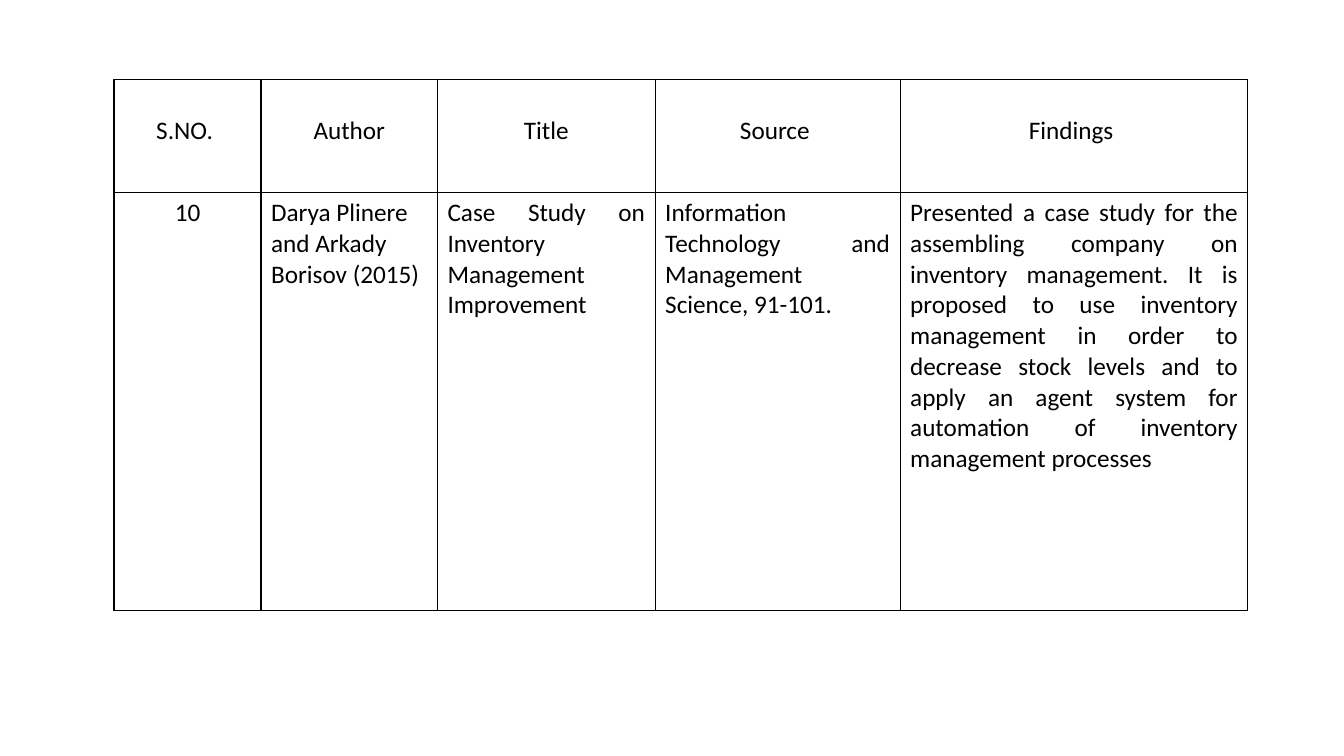
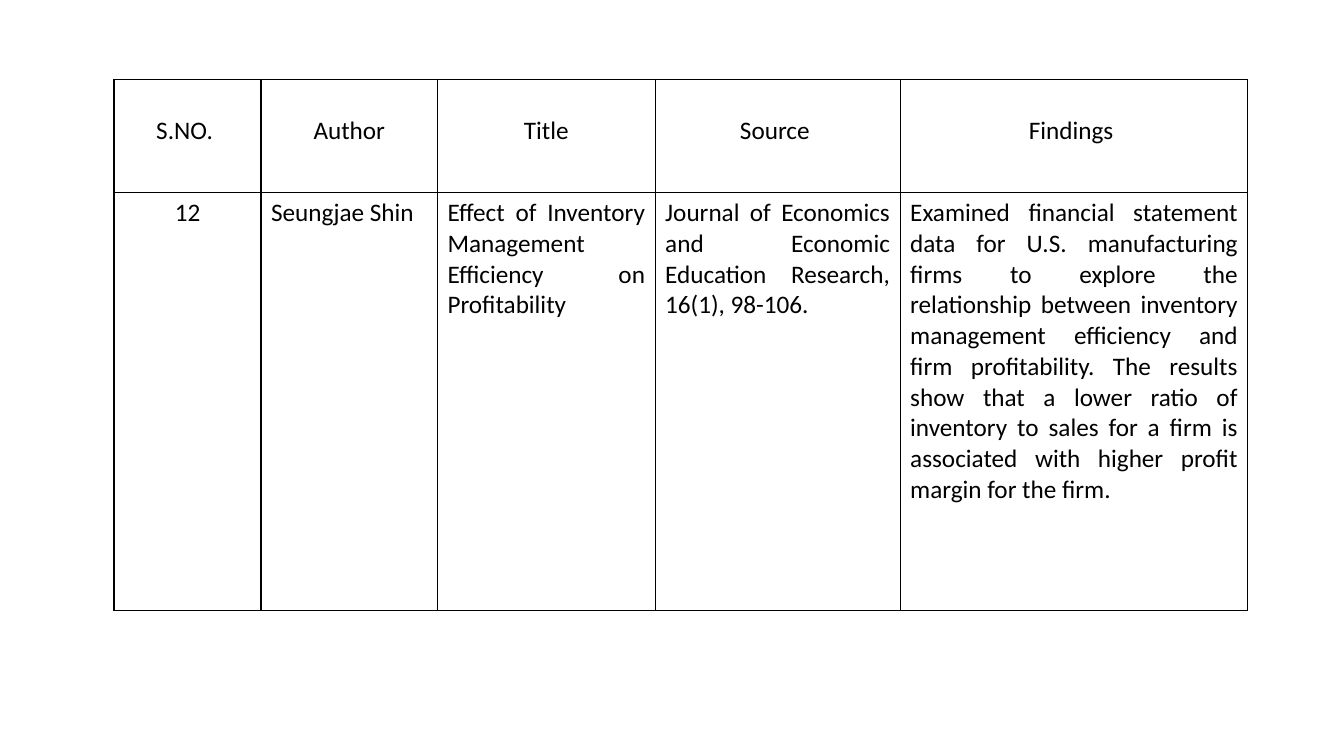
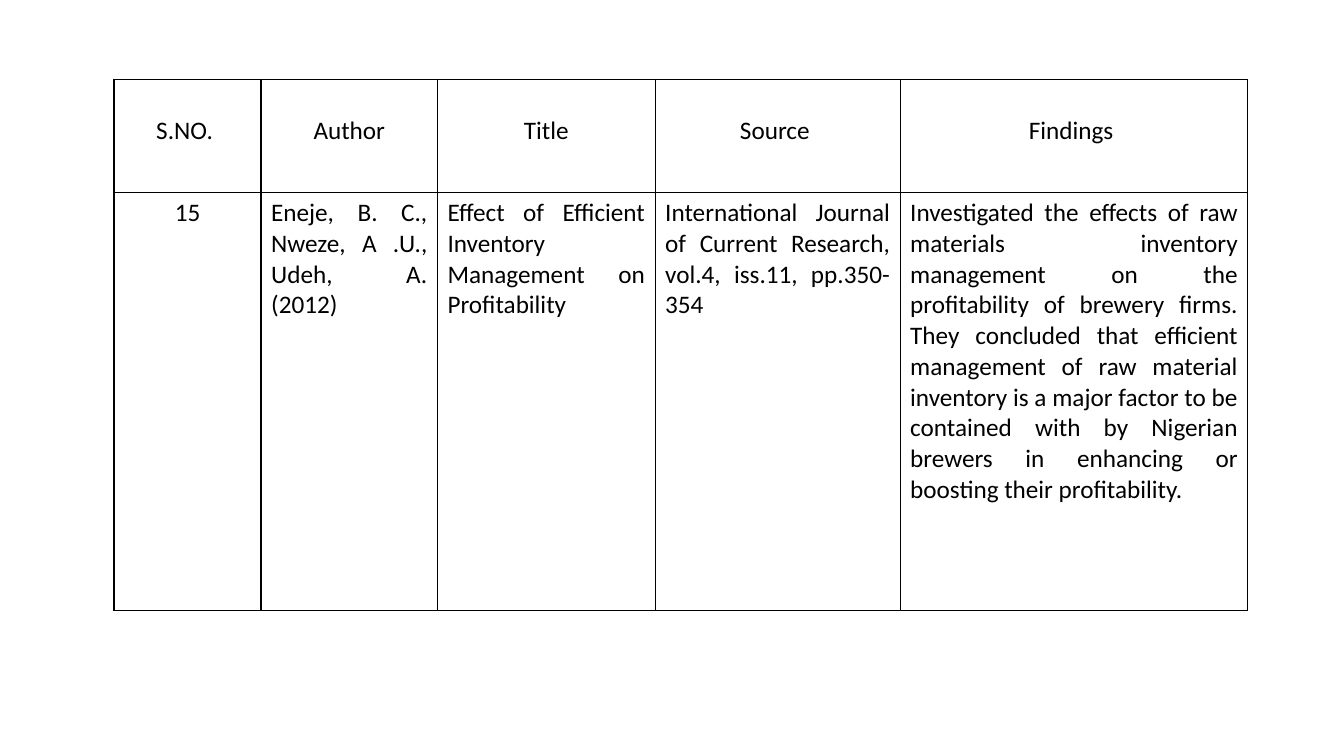
from dataclasses import dataclass

from lxml import etree
from pptx import Presentation
from pptx.dml.color import RGBColor
from pptx.enum.text import MSO_ANCHOR, PP_ALIGN
from pptx.oxml.ns import qn
from pptx.util import Pt

LEFT, MID, JUST = PP_ALIGN.LEFT, PP_ALIGN.CENTER, PP_ALIGN.JUSTIFY
TOP = MSO_ANCHOR.TOP
BLANK = 6


@dataclass(frozen=True)
class Theme:
    font: str = "Calibri"
    size: float = 18
    ink: str = "000000"
    rule: float = 1


THEME = Theme()

# Page and grid, in points
PAGE = (960, 540)
ORIGIN = (81.4, 56.9)
COLS = (105.1, 126, 155.5, 175, 248.4)
ROWS = (80.6, 298.8)
HEAD_PAD, BODY_PAD = 25.6, 3.6

HEAD = ("S.NO. ", "Author", "Title", "Source ", "Findings ")

# Each study: alignment of its author cell, then the row of text
STUDIES = (
    (LEFT, (
        "10",
        "Darya Plinere and Arkady Borisov (2015)",
        "Case Study on Inventory Management Improvement",
        "Information Technology and Management Science, 91-101.",
        "Presented a case study for the assembling company on inventory "
        "management. It is proposed to use inventory management in order to "
        "decrease stock levels and to apply an agent system for automation "
        "of inventory management processes",
    )),
    (LEFT, (
        "12",
        "Seungjae Shin",
        "Effect of Inventory Management Efficiency on Profitability",
        "Journal of Economics and Economic Education Research, 16(1), 98-106.",
        "Examined financial statement data for U.S. manufacturing firms to "
        "explore the relationship between inventory management efficiency "
        "and firm profitability. The results show that a lower ratio of "
        "inventory to sales for a firm is associated with higher profit "
        "margin for the firm.",
    )),
    (JUST, (
        "15",
        "Eneje, B. C., Nweze, A .U., Udeh, A. (2012)",
        "Effect of Efficient Inventory Management on Profitability",
        "International Journal of Current Research, vol.4, iss.11, pp.350-354",
        "Investigated the effects of raw materials inventory management on "
        "the profitability of brewery firms. They concluded that efficient "
        "management of raw material inventory is a major factor to be "
        "contained with by Nigerian brewers in enhancing or boosting their "
        "profitability.",
    )),
)


def apply(target, values):
    for name, value in values.items():
        setattr(target, name, value)


def frame(cell):
    """Draw a solid rule on all four sides of a cell."""
    props = cell._tc.get_or_add_tcPr()
    for spot, side in enumerate(("a:lnL", "a:lnR", "a:lnT", "a:lnB")):
        line = etree.Element(qn(side), w=str(Pt(THEME.rule)))
        fill = etree.SubElement(line, qn("a:solidFill"))
        etree.SubElement(fill, qn("a:srgbClr"), val=THEME.ink)
        props.insert(spot, line)


def write(cell, text, align, pad):
    cell.fill.background()
    apply(cell, {"margin_top": Pt(pad), "vertical_anchor": TOP})
    para = cell.text_frame.paragraphs[0]
    para.alignment = align
    run = para.add_run()
    run.text = text
    apply(run.font, {"name": THEME.font, "size": Pt(THEME.size),
                     "bold": False})
    run.font.color.rgb = RGBColor.from_string(THEME.ink)
    frame(cell)


def add_study(deck, author, study):
    slide = deck.slides.add_slide(deck.slide_layouts[BLANK])
    box = [Pt(n) for n in (*ORIGIN, sum(COLS), sum(ROWS))]
    table = slide.shapes.add_table(len(ROWS), len(COLS), *box).table
    apply(table, {"first_row": False, "horz_banding": False})
    for col, width in zip(table.columns, COLS):
        col.width = Pt(width)
    for row, height in zip(table.rows, ROWS):
        row.height = Pt(height)

    # Heading row, then the study itself
    aligns = (MID, author, JUST, JUST, JUST)
    for col, (head, text, align) in enumerate(zip(HEAD, study, aligns)):
        write(table.cell(0, col), head, MID, HEAD_PAD)
        write(table.cell(1, col), text, align, BODY_PAD)


def main():
    deck = Presentation()
    deck.slide_width, deck.slide_height = (Pt(n) for n in PAGE)
    for author, study in STUDIES:
        add_study(deck, author, study)
    deck.save("out.pptx")


if __name__ == "__main__":
    main()
